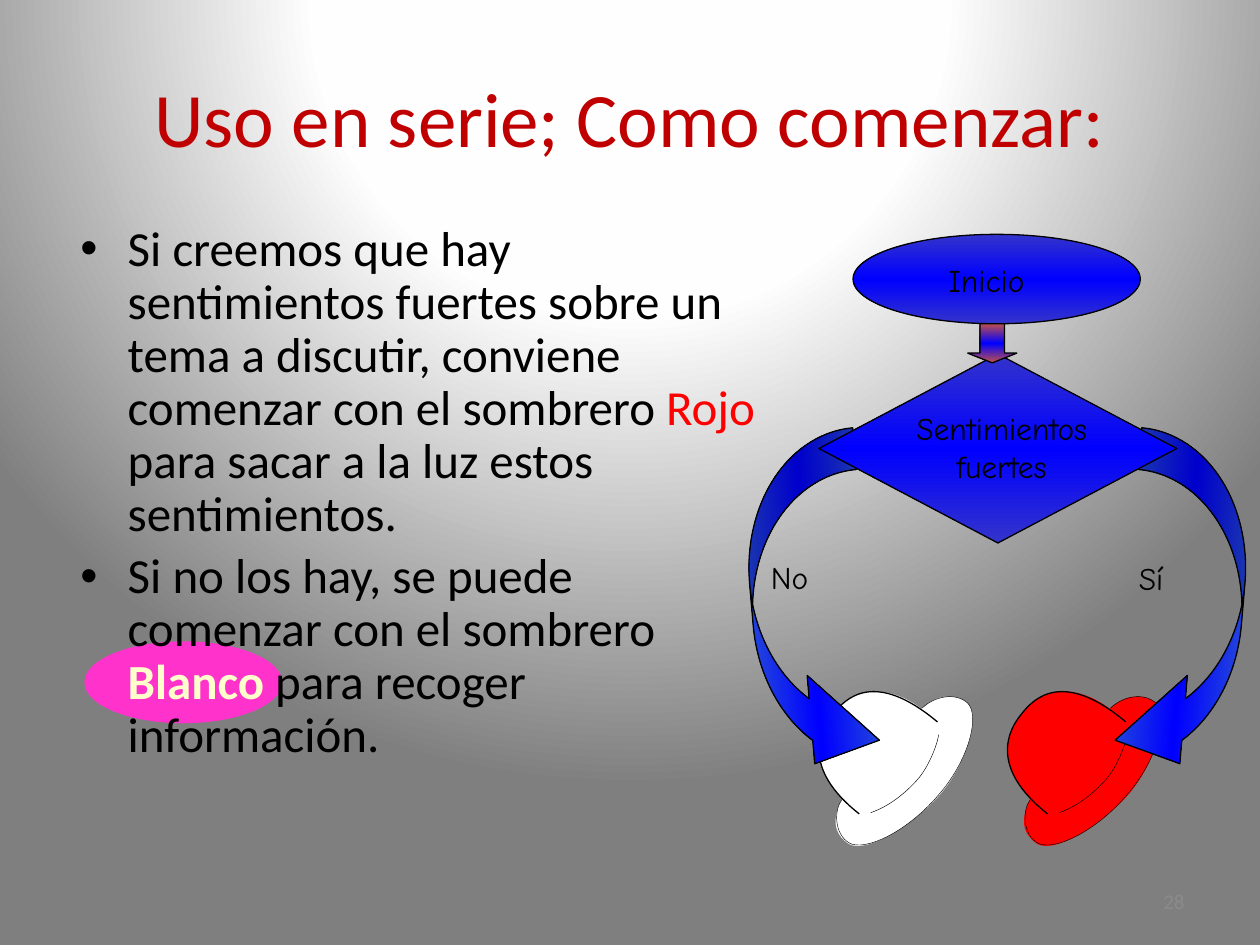
from dataclasses import dataclass
from pptx import Presentation
from pptx.dml.color import RGBColor
from pptx.enum.shapes import MSO_SHAPE
from pptx.enum.text import MSO_ANCHOR, PP_ALIGN
from pptx.oxml import parse_xml
from pptx.oxml.ns import nsdecls, qn
from pptx.util import Inches, Pt


@dataclass(frozen=True)
class Theme:
    text_font: str = "Calibri"
    chart_font: str = "Comic Neue"
    title_size: int = 44
    body_size: int = 28
    label_size: int = 18
    number_size: int = 12
    black: str = "000000"
    white: str = "FFFFFF"
    red: str = "FF0000"
    title: str = "C00000"
    cream: str = "FFFFCC"
    pink: str = "FF33CC"
    number: str = "8B8B8B"
    backdrop: tuple = ((0, "FFFFFF"), (40, "FEFEFE"), (100, "7F7F7F"))
    node: tuple = ((0, "3333CC"), (50, "0000FF"), (100, "3333CC"))
    branch: tuple = ((0, "3366CC"), (50, "0000FF"), (100, "3366CC"))
    link: tuple = ((0, "C0504D"), (50, "0000FF"), (100, "C0504D"))


LINEAR = '<a:lin ang="5400000" scaled="1"/>'
CIRCULAR = ('<a:path path="circle"><a:fillToRect l="50000" t="-80000" '
            'r="50000" b="180000"/></a:path>')

HAT_PARTS = [
    (None, [
        (6.69, 6.34),
        (6.61, 6.47), (6.6, 6.61), (6.74, 6.7),
        (6.89, 6.78), (7.3, 6.51), (7.49, 6.27),
        (7.68, 6.03), (7.79, 5.65), (7.67, 5.58),
        (7.56, 5.51), (7.44, 5.5), (7.32, 5.63),
        (7.14, 5.49), (6.85, 5.39), (6.63, 5.65),
        (6.41, 5.91), (6.51, 6.15), (6.69, 6.34)]),
    (0.25, [
        (6.68, 6.35),
        (6.62, 6.43), (6.62, 6.62), (6.74, 6.69),
        (6.86, 6.76), (7.19, 6.61), (7.44, 6.32),
        (7.69, 6.04), (7.78, 5.68), (7.68, 5.58),
        (7.58, 5.49), (7.41, 5.53), (7.32, 5.62)]),
    (0.25, [
        (6.91, 6.45),
        (7.06, 6.4), (7.19, 6.29), (7.28, 6.19),
        (7.37, 6.09), (7.44, 5.91), (7.45, 5.83)]),
    (0.75, [
        (6.82, 6.46),
        (6.35, 6.09), (6.51, 5.79), (6.61, 5.67),
        (6.71, 5.54), (6.94, 5.31), (7.44, 5.73)]),
]


class SlideBuilder:
    def __init__(self, page, theme):
        self.page = page
        self.theme = theme

    def gradient(self, fill, parent, stops, shade):
        fill.solid()
        marks = "".join(f'<a:gs pos="{pos * 1000}"><a:srgbClr val="{color}"/></a:gs>'
                        for pos, color in stops)
        parent.replace(parent.find(qn("a:solidFill")), parse_xml(
            f'<a:gradFill {nsdecls("a")} rotWithShape="1">'
            f'<a:gsLst>{marks}</a:gsLst>{shade}</a:gradFill>'))

    def background(self):
        fill = self.page.background.fill
        fill.solid()
        parent = self.page._element.find(".//" + qn("p:bgPr"))
        self.gradient(fill, parent, self.theme.backdrop, CIRCULAR)

    def paint(self, shape, color, line):
        shape.shadow.inherit = False
        if isinstance(color, str):
            shape.fill.solid()
            shape.fill.fore_color.rgb = RGBColor.from_string(color)
        else:
            self.gradient(shape.fill, shape._element.spPr, color, LINEAR)
        if line:
            shape.line.width = Pt(line)
            shape.line.color.rgb = RGBColor.from_string(self.theme.black)
        else:
            shape.line.fill.background()

    def shape(self, kind, at, color, line=0.75, adjust=(), rotation=0, mirrored=False):
        shape = self.page.shapes.add_shape(kind, *map(Inches, at))
        for index, value in enumerate(adjust):
            shape.adjustments[index] = value
        shape.rotation = rotation
        if mirrored:
            shape._element.spPr.get_or_add_xfrm().set("flipH", "1")
        self.paint(shape, color, line)

    def curve(self, shapes, points, closed):
        builder = shapes.build_freeform(*points[0])
        builder.add_line_segments(points[1:], close=closed)
        shape = builder.convert_to_shape()
        segments = shape._element.findall(".//" + qn("a:lnTo"))
        for first, second, end in zip(*[iter(segments)] * 3):
            bend = parse_xml(f'<a:cubicBezTo {nsdecls("a")}/>')
            first.addprevious(bend)
            for segment in (first, second, end):
                bend.append(segment[0])
                segment.getparent().remove(segment)
        return shape

    def hat(self, shift, color):
        group = self.page.shapes.add_group_shape()
        for line, outline in HAT_PARTS:
            points = [(Inches(x + shift), Inches(y)) for x, y in outline]
            self.paint(self.curve(group.shapes, points, line is None), color, line)

    def text(self, at, paragraphs, font, size, color, align=PP_ALIGN.LEFT,
             anchor=MSO_ANCHOR.TOP, before=0, bulleted=False, wrap=True):
        frame = self.page.shapes.add_textbox(*map(Inches, at)).text_frame
        frame.word_wrap = wrap
        frame.vertical_anchor = anchor
        for index, spans in enumerate(paragraphs):
            para = frame.add_paragraph() if index else frame.paragraphs[0]
            para.alignment = align
            para.space_before = Pt(before)
            para.font.name = font
            para.font.size = Pt(size)
            for words, span_color, bold in spans:
                span = para.add_run()
                span.text = words
                span.font.color.rgb = RGBColor.from_string(span_color or color)
                if bold:
                    span.font.bold = True
            if bulleted:
                self.bullet(para)

    def bullet(self, para):
        para.line_spacing = 0.9
        properties = para._p.get_or_add_pPr()
        properties.set("marL", str(Inches(0.375)))
        properties.set("indent", str(-Inches(0.375)))
        for tag in ('buFont {} typeface="Arial"', 'buChar {} char="•"'):
            mark = parse_xml(f'<a:{tag.format(nsdecls("a"))}/>')
            properties.insert_element_before(mark, "a:tabLst", "a:defRPr", "a:extLst")

    def label(self, at, words, **options):
        self.text(at, [[(words, None, False)]], self.theme.chart_font,
                  self.theme.label_size, self.theme.black, **options)


def main():
    deck = Presentation()
    deck.slide_width, deck.slide_height = Inches(10), Inches(7.5)
    theme = Theme()
    slide = SlideBuilder(deck.slides.add_slide(deck.slide_layouts[6]), theme)
    slide.background()

    slide.shape(MSO_SHAPE.OVAL, (0.67, 5.09, 1.57, 0.65), theme.pink, line=None)
    slide.text((0.54, 1.73, 5.69, 4.75), [
        [("Si creemos que hay sentimientos fuertes sobre un tema a discutir, "
          "conviene comenzar con el sombrero ", None, False),
         ("Rojo", theme.red, False),
         (" para sacar a la luz estos sentimientos.", None, False)],
        [("Si no los hay, se puede comenzar con el sombrero ", None, False),
         ("Blanco", theme.cream, True),
         (" para recoger información.", None, False)],
    ], theme.text_font, theme.body_size, theme.black, before=5.6, bulleted=True)
    slide.text((0.5, 0.3, 9, 1.25), [[("Uso en serie; Como comenzar:", None, False)]],
               theme.text_font, theme.title_size, theme.title,
               align=PP_ALIGN.CENTER, anchor=MSO_ANCHOR.MIDDLE)

    slide.shape(MSO_SHAPE.OVAL, (6.77, 1.86, 2.28, 0.71), theme.node)
    slide.label((7.04, 2.02, 1.58, 0.5), "Inicio", align=PP_ALIGN.CENTER, before=9)
    for shift, color in ((0, theme.white), (1.495, theme.red)):
        slide.hat(shift, color)
    for left, rotation, mirrored in ((5.01, 265.1, True), (7.98, 94.9, False)):
        slide.shape(MSO_SHAPE.CURVED_DOWN_ARROW, (left, 4.39, 2.84, 0.92), theme.branch,
                    adjust=(0.361, 0.765, 0.573), rotation=rotation, mirrored=mirrored)
    slide.shape(MSO_SHAPE.DIAMOND, (6.5, 2.81, 2.84, 1.5), theme.node)
    slide.label((6.81, 3.2, 2.28, 0.9), "Sentimientos fuertes", align=PP_ALIGN.CENTER)
    slide.shape(MSO_SHAPE.DOWN_ARROW, (7.68, 2.57, 0.39, 0.31), theme.link,
                adjust=(0.5, 0.25))
    slide.label((8.94, 4.39, 0.53, 0.5), "Sí", wrap=False)
    slide.label((6.02, 4.38, 0.64, 0.5), "No", wrap=False)
    slide.text((7.17, 6.95, 2.33, 0.4), [[("28", None, False)]], theme.text_font,
               theme.number_size, theme.number, align=PP_ALIGN.RIGHT,
               anchor=MSO_ANCHOR.MIDDLE)
    deck.save("out.pptx")


if __name__ == "__main__":
    main()
